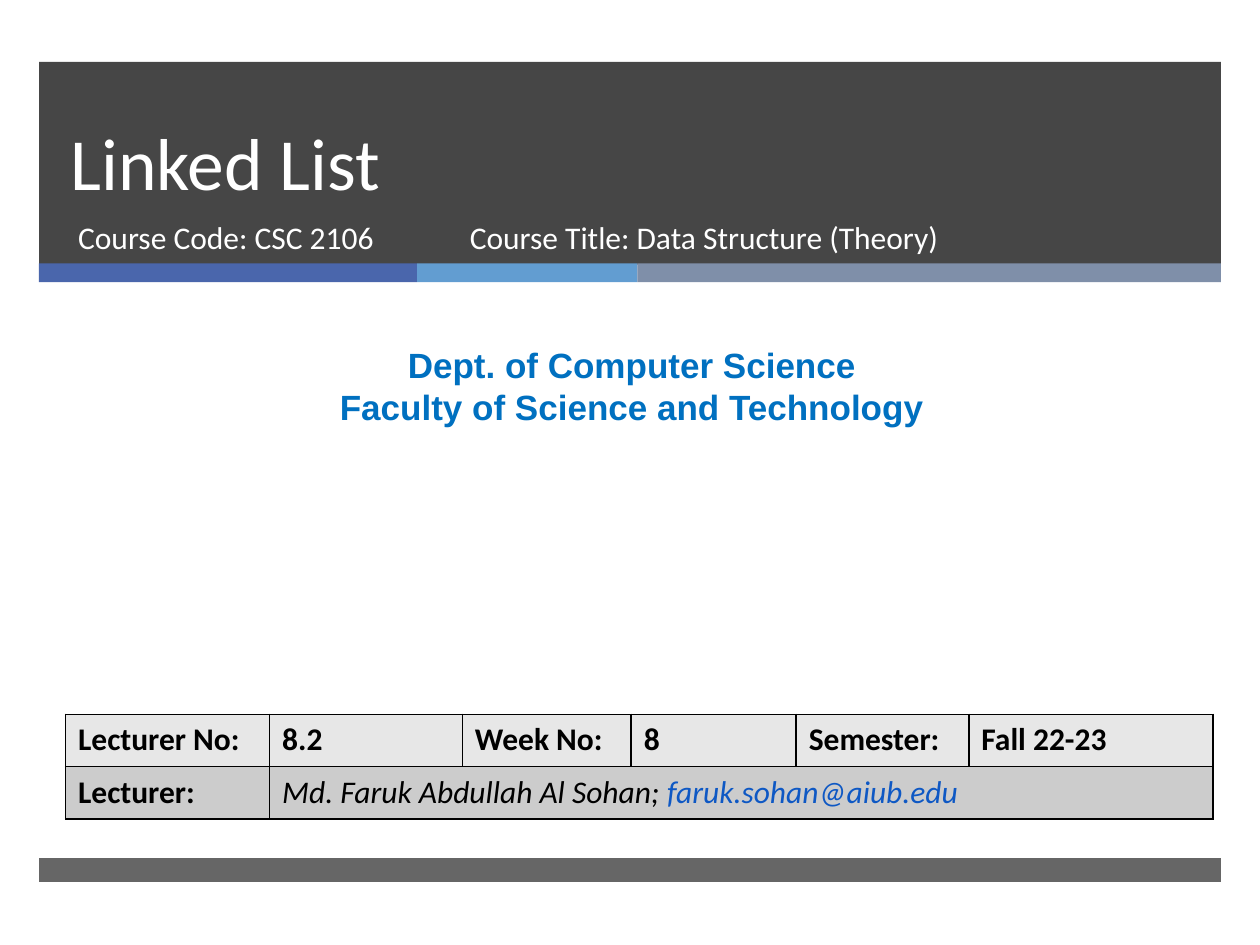
"""Build the cover slide of the linked list lecture."""
from lxml.etree import SubElement
from pptx import Presentation
from pptx.dml.color import RGBColor as RGB
from pptx.enum.shapes import MSO_SHAPE as SHAPE
from pptx.enum.text import MSO_ANCHOR as ANCHOR, MSO_AUTO_SIZE as FIT, PP_ALIGN as ALIGN
from pptx.oxml.ns import qn
from pptx.util import Inches, Pt

WHITE = RGB(0xFF, 0xFF, 0xFF)
BLACK = RGB(0, 0, 0)
DARK = RGB(0x46, 0x46, 0x46)
GREY = RGB(0x66, 0x66, 0x66)
NAVY = RGB(0x4A, 0x66, 0xAC)
SKY = RGB(0x62, 0x9D, 0xD1)
SLATE = RGB(0x7F, 0x8F, 0xA9)
BLUE = RGB(0x00, 0x70, 0xC0)
LINK = RGB(0x0E, 0x58, 0xC4)
PALE = RGB(0xE7, 0xE7, 0xE7)
MID = RGB(0xCC, 0xCC, 0xCC)


def add_run(para, text, size, color, name="Calibri", bold=False, italic=False):
    run = para.add_run()
    run.text = text
    font = run.font
    font.name, font.size = name, Pt(size)
    font.bold, font.italic = bold, italic
    font.color.rgb = color


def place(shape, left, top, width, height, anchor=ANCHOR.TOP):
    shape.left, shape.top = Inches(left), Inches(top)
    shape.width, shape.height = Inches(width), Inches(height)
    frame = shape.text_frame
    frame.word_wrap = True
    frame.auto_size = FIT.NONE
    frame.vertical_anchor = anchor
    para = frame.paragraphs[0]
    para.alignment = ALIGN.LEFT
    para.space_before = Pt(0)
    return para


deck = Presentation()
deck.slide_width, deck.slide_height = Inches(10), Inches(7.5)
slide = deck.slides.add_slide(deck.slide_layouts[0])
shapes = slide.shapes
title, code = slide.placeholders

bars = [
    (0.31, 0.49, 9.38, 1.61, DARK),
    (0.31, 2.09, 3, 0.15, NAVY),
    (3.31, 2.09, 1.75, 0.15, SKY),
    (5.06, 2.09, 4.63, 0.15, SLATE),
    (0.31, 6.81, 9.38, 0.19, GREY),
]
for left, top, width, height, color in bars:
    bar = shapes.add_shape(SHAPE.RECTANGLE, Inches(left), Inches(top), Inches(width), Inches(height))
    bar.shadow.inherit = False
    bar.fill.solid()
    bar.fill.fore_color.rgb = color
    bar.line.fill.background()
    title._element.addprevious(bar._element)

para = place(title, 0.46, 0.49, 8.54, 1.19, ANCHOR.BOTTOM)
para.line_spacing = Pt(46)
add_run(para, "Linked List", 42, WHITE)

para = place(code, 0.52, 1.68, 3.05, 0.53)
add_run(para, "Course Code: CSC 2106", 18, WHITE)

dept = shapes.add_textbox(0, 0, 0, 0)
para = place(dept, 0.08, 2.68, 9.87, 0.77)
para.alignment = ALIGN.CENTER
add_run(para, "Dept. of Computer Science", 20, BLUE, "Arial", bold=True)
para = dept.text_frame.add_paragraph()
para.alignment = ALIGN.CENTER
add_run(para, "Faculty of Science and Technology", 20, BLUE, "Arial", bold=True)

widths = [1.62, 1.53, 1.34, 1.31, 1.37, 1.94]
grid = shapes.add_table(2, 6, Inches(0.52), Inches(5.67), Inches(9.12), Inches(0.83)).table
grid.first_row = grid.horz_banding = False
for col, width in zip(grid.columns, widths):
    col.width = Inches(width)
for row, tint in zip(grid.rows, (PALE, MID)):
    row.height = Inches(0.415)
    for cell in row.cells:
        props = cell._tc.get_or_add_tcPr()
        for side in ("a:lnL", "a:lnR", "a:lnT", "a:lnB"):
            edge = SubElement(props, qn(side), w=str(Pt(1)))
            SubElement(SubElement(edge, qn("a:solidFill")), qn("a:srgbClr"), val=str(BLACK))
        cell.fill.solid()
        cell.fill.fore_color.rgb = tint

heads = ["Lecturer No:", "8.2", "Week No:", "8", "Semester:", "Fall 22-23"]
for cell, text in zip(grid.rows[0].cells, heads):
    add_run(cell.text_frame.paragraphs[0], text, 18, BLACK, bold=True)
add_run(grid.cell(1, 0).text_frame.paragraphs[0], "Lecturer:", 18, BLACK, bold=True)
grid.cell(1, 1).merge(grid.cell(1, 5))
para = grid.cell(1, 1).text_frame.paragraphs[0]
add_run(para, "Md. Faruk Abdullah Al Sohan; ", 18, BLACK, italic=True)
add_run(para, "faruk.sohan@aiub.edu", 18, LINK, italic=True)

para = place(shapes.add_textbox(0, 0, 0, 0), 3.63, 1.68, 4.55, 0.53)
add_run(para, "Course Title: Data Structure (Theory)", 18, WHITE)

deck.save("out.pptx")
